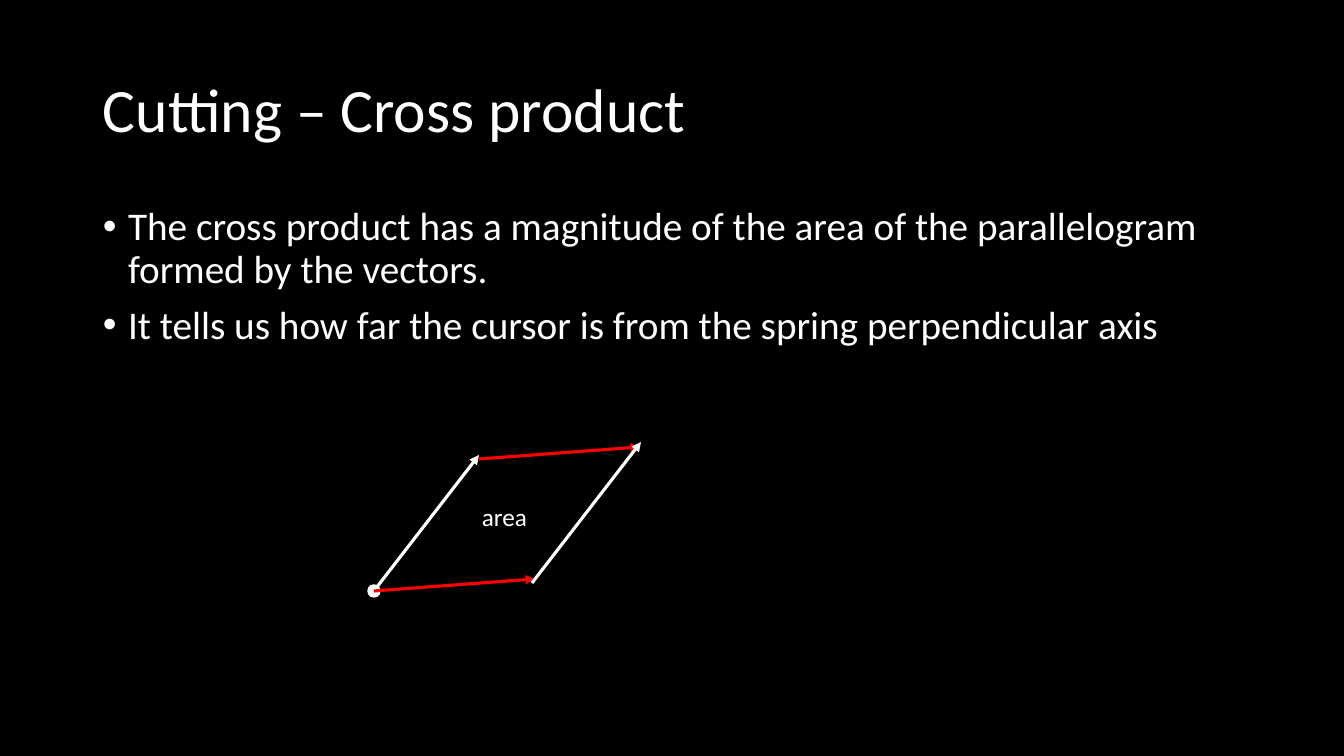
from lxml.etree import SubElement
from pptx import Presentation
from pptx.dml.color import RGBColor
from pptx.enum.shapes import MSO_CONNECTOR as CONN, MSO_SHAPE as SHAPE
from pptx.enum.text import MSO_ANCHOR as ANCHOR, MSO_AUTO_SIZE as FIT
from pptx.oxml.ns import qn
from pptx.util import Emu, Pt

WHITE, RED, BLACK = "FFFFFF", "FF0000", "000000"
FONT = "Calibri"
SIZE = (1344, 756)

TITLE = "Cutting – Cross product"
BULLETS = [
    "The cross product has a magnitude of the area of the parallelogram formed by the vectors.",
    "It tells us how far the cursor is from the spring perpendicular axis",
]
TITLE_BOX = (93, 40, 1159, 146)
BODY_BOX = (93, 202, 1159, 480)
AREA_BOX = (472, 496, 77, 40)
ORIGIN_DOT = (368, 585, 12, 12)

SPRING, CURSOR = (109, -141), (161, -12)
VECTORS = [
    ((370, 596), SPRING, WHITE),
    ((374, 591), CURSOR, RED),
    ((479, 459), CURSOR, RED),
    ((532, 583), SPRING, WHITE),
]


def px(n):
    return Emu(round(n * 914400 / 100.8))


def color(value):
    return RGBColor.from_string(value)


def add_text(s, box, lines, size, anchor=ANCHOR.TOP, bullet=False, spacing=1.0):
    sp = s.shapes.add_textbox(*map(px, box))
    tf = sp.text_frame
    tf.word_wrap = True
    tf.vertical_anchor = anchor
    for i, line in enumerate(lines):
        p = tf.paragraphs[0] if i == 0 else tf.add_paragraph()
        p.line_spacing = spacing
        if i:
            p.space_before = Pt(10)
        if bullet:
            pPr = p._p.get_or_add_pPr()
            pPr.set("marL", "228600")
            pPr.set("indent", "-228600")
            SubElement(pPr, qn("a:buFont")).set("typeface", "Arial")
            SubElement(pPr, qn("a:buChar")).set("char", "•")
        r = p.add_run()
        r.text = line
        r.font.name = FONT
        r.font.size = Pt(size)
        r.font.color.rgb = color(WHITE)
    return tf


def add_arrow(s, start, vector, hue):
    end = [a + d for a, d in zip(start, vector)]
    c = s.shapes.add_connector(CONN.STRAIGHT, *map(px, (*start, *end)))
    c.line.color.rgb = color(hue)
    c.line.width = Pt(2.25)
    SubElement(c.line._get_or_add_ln(), qn("a:tailEnd")).set("type", "triangle")
    SubElement(c._element.spPr, qn("a:effectLst"))


def main():
    prs = Presentation()
    prs.slide_width, prs.slide_height = map(px, SIZE)
    s = prs.slides.add_slide(prs.slide_layouts[6])
    s.background.fill.solid()
    s.background.fill.fore_color.rgb = color(BLACK)

    add_text(s, TITLE_BOX, [TITLE], 44, anchor=ANCHOR.MIDDLE, spacing=0.9)
    add_text(s, BODY_BOX, BULLETS, 28, bullet=True, spacing=0.9)

    dot = s.shapes.add_shape(SHAPE.OVAL, *map(px, ORIGIN_DOT))
    dot.shadow.inherit = False
    dot.fill.solid()
    dot.fill.fore_color.rgb = color(WHITE)
    dot.line.color.rgb = color(WHITE)
    dot.line.width = Pt(1)

    for start, vector, hue in VECTORS:
        add_arrow(s, start, vector, hue)

    tf = add_text(s, AREA_BOX, ["area"], 18)
    tf.auto_size = FIT.SHAPE_TO_FIT_TEXT

    prs.save("out.pptx")


if __name__ == "__main__":
    main()
